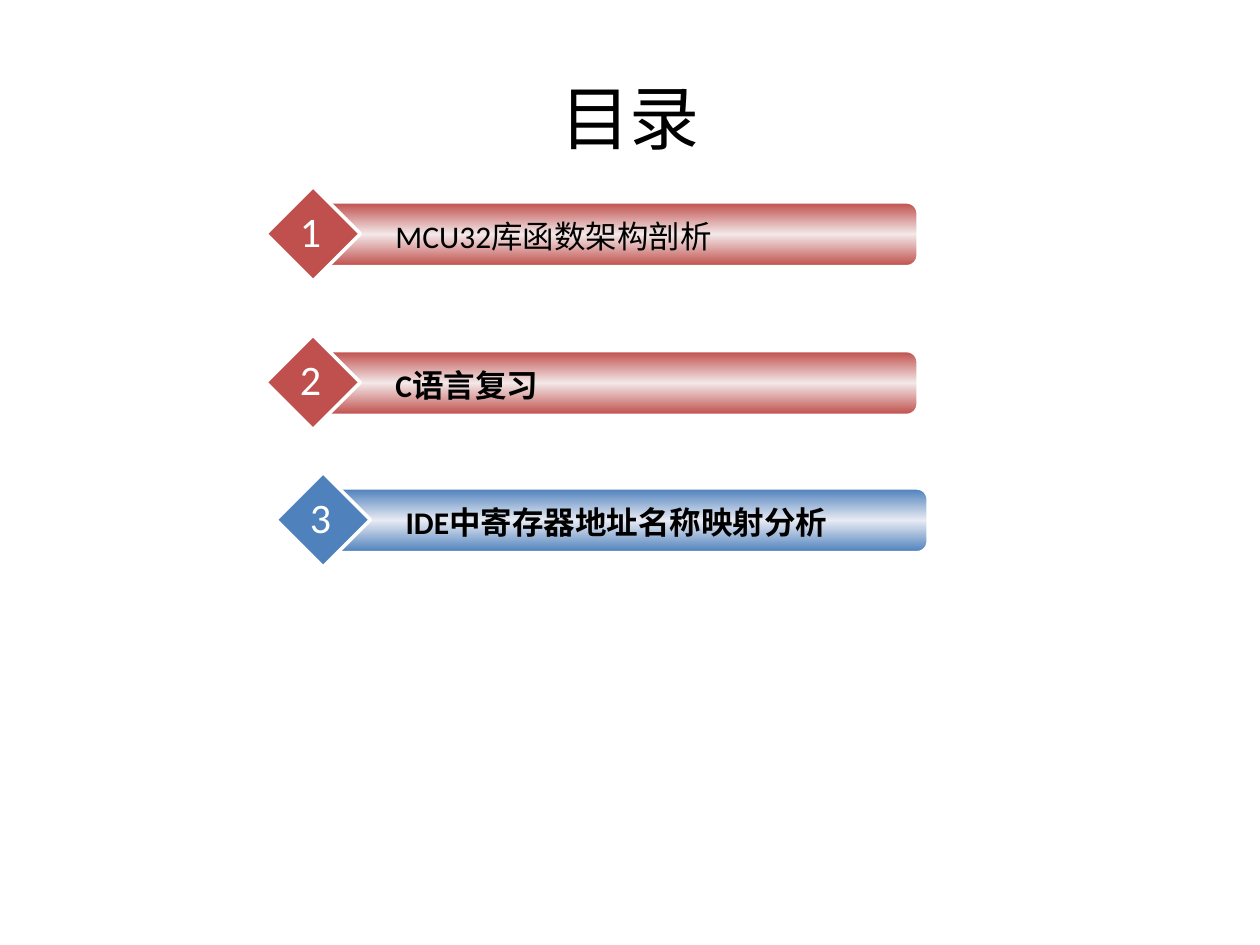
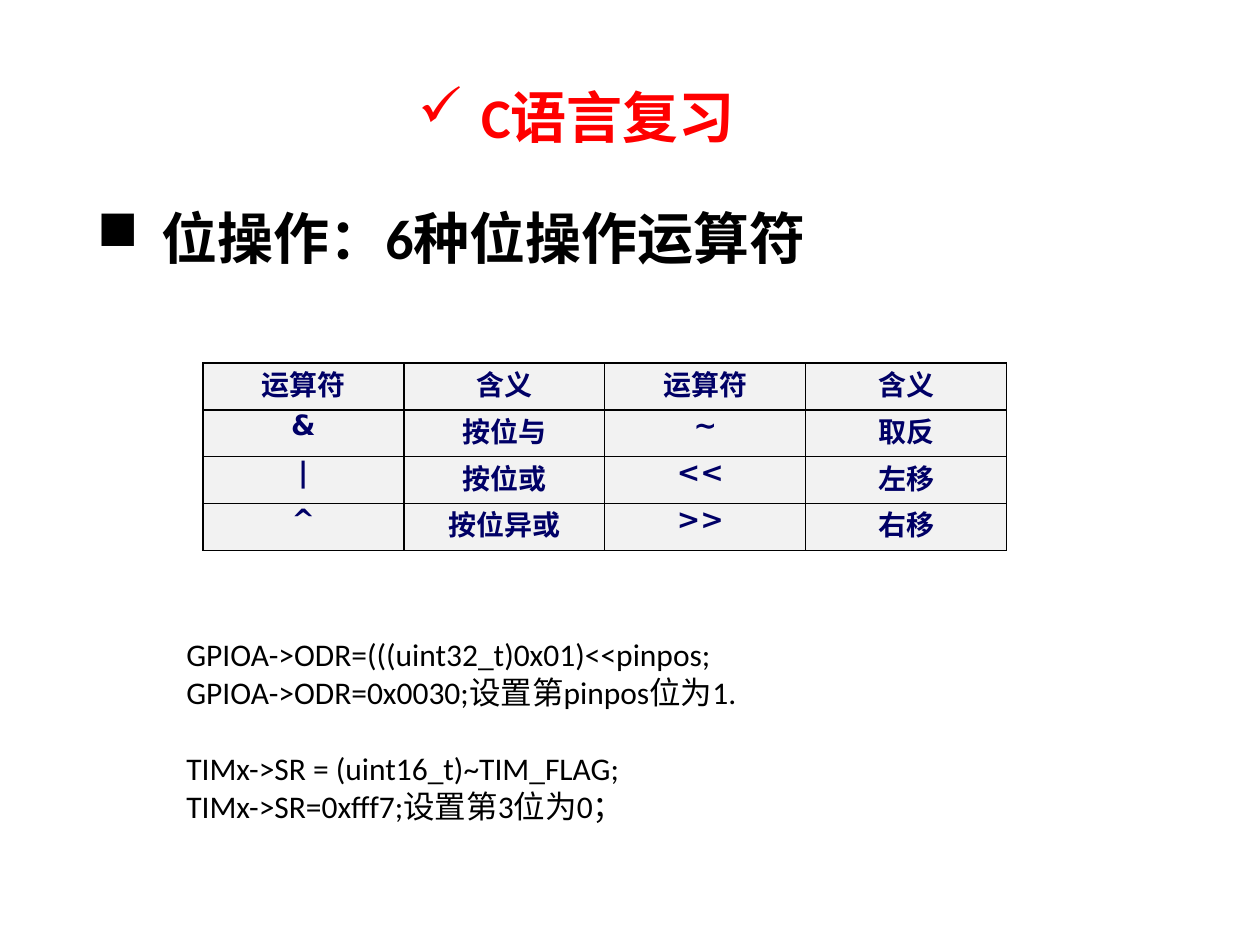
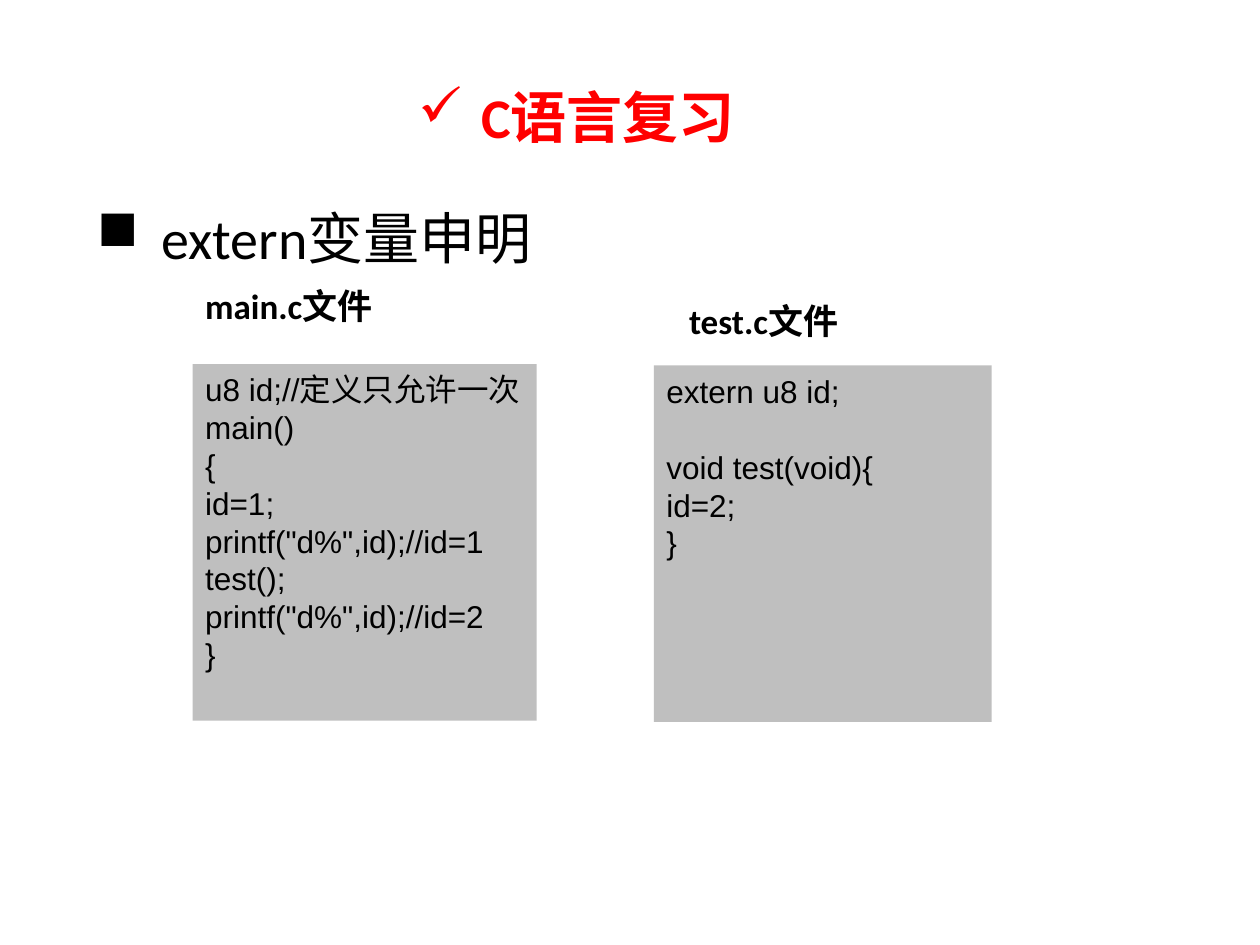
import copy

import lxml.etree
import pptx
import pptx.dml.color
import pptx.enum.shapes
import pptx.enum.text
import pptx.oxml
import pptx.oxml.ns
import pptx.util

GRID = pptx.util.Inches(0.25)  # the slide is 40 columns by 30 rows
RED, BLUE, WHITE = "C0504D", "4F81BD", "FFFFFF"
SHAPES = pptx.enum.shapes.MSO_SHAPE
ALIGN = pptx.enum.text.PP_ALIGN
ANCHOR = pptx.enum.text.MSO_ANCHOR
qn = pptx.oxml.ns.qn


def colour(hex_string):
    return pptx.dml.color.RGBColor.from_string(hex_string)


def add_box(slide, box, text="", kind=None, fill=None, line=None, line_width=1,
            ink="000000", align=ALIGN.LEFT, anchor=ANCHOR.TOP, wrap=True,
            bullet=None, indent=0, **font_format):
    """Add a shape, or a text box if kind is None; box is in grid units.

    An empty line in the text becomes a gap above the next paragraph.
    """
    place = [round(value * GRID) for value in box]
    if kind is None:
        shape = slide.shapes.add_textbox(*place)
    else:
        shape = slide.shapes.add_shape(kind, *place)
        shape.shadow.inherit = False
        shape.fill.solid()
        shape.fill.fore_color.rgb = colour(fill)
        if line:
            shape.line.color.rgb = colour(line)
            shape.line.width = pptx.util.Pt(line_width)
        else:
            shape.line.fill.background()
    if not text:
        return shape

    frame = shape.text_frame
    frame.word_wrap = wrap
    frame.vertical_anchor = anchor
    paragraph, gap = None, 0
    for content in text.split("\n"):
        if not content:
            gap = 22
            continue
        paragraph = frame.add_paragraph() if paragraph else frame.paragraphs[0]
        paragraph.alignment = align
        paragraph.space_before = pptx.util.Pt(gap)
        gap = 0
        run = paragraph.add_run()
        run.text = content
        run.font.color.rgb = colour(ink)
        for name, value in {"name": "Calibri", **font_format}.items():
            setattr(run.font, name, value)
        if bullet:
            properties = paragraph._p.get_or_add_pPr()
            margin = round(indent * GRID)
            properties.set("marL", str(margin))
            properties.set("indent", str(-margin))
            lxml.etree.SubElement(properties, qn("a:buChar")).set("char", bullet)
    return shape


presentation = pptx.Presentation()
presentation.slide_width = 40 * GRID
presentation.slide_height = 30 * GRID
contents, operators, externs = [
    presentation.slides.add_slide(presentation.slide_layouts[6]) for _ in range(3)]

# Contents
add_box(contents, (2, 1.2, 36, 5), "目录", align=ALIGN.CENTER,
        anchor=ANCHOR.MIDDLE, size=pptx.util.Pt(40))
chapters = [
    (8.44, 5.92, RED, "F3E8E8", "MCU32库函数架构剖析", False),
    (8.44, 10.64, RED, "F3E8E8", "C语言复习", True),
    (8.76, 15, BLUE, "E8EBF3", "IDE中寄存器地址名称映射分析", True),
]
for number, (left, top, edge, middle, label, bold) in enumerate(chapters, 1):
    bar = add_box(contents, (left + 1.68, top + 0.52, 19, 2),
                  kind=SHAPES.ROUNDED_RECTANGLE, fill=edge, line=WHITE)
    bar.fill.gradient()
    bar.fill.gradient_angle = 90
    stop_list = bar._element.spPr.find(".//" + qn("a:gsLst"))
    stop_list.append(copy.deepcopy(stop_list[0]))
    for stop, position, shade in zip(bar.fill.gradient_stops, (0, 0.5, 1),
                                     (edge, middle, edge)):
        stop.position = position
        stop.color.rgb = colour(shade)
    add_box(contents, (left, top, 3, 3), kind=SHAPES.DIAMOND, fill=edge,
            line=WHITE, line_width=2)
    add_box(contents, (left + 3.72, top + 0.78, 17, 1.6), label,
            size=pptx.util.Pt(18), bold=bold)
    add_box(contents, (left + 0.68, top + 0.4, 1.48, 2.04), str(number), ink=WHITE,
            align=ALIGN.CENTER, wrap=False, size=pptx.util.Pt(24))

# Title and heading of the two lesson slides
for slide, heading, bold in [(operators, "位操作：6种位操作运算符", True),
                             (externs, "extern变量申明", False)]:
    add_box(slide, (12.88, 2.44, 17.52, 2.56), "C语言复习", ink="FF0000",
            bullet="✓", indent=2, size=pptx.util.Pt(32), bold=True)
    add_box(slide, (2.68, 6.28, 23.88, 2.56), heading, bullet="■", indent=2.04,
            size=pptx.util.Pt(32), bold=bold)

# Bit operators
operator_rows = [
    ("运算符", "含义", "运算符", "含义"),
    ("&", "按位与", "~", "取反"),
    ("|", "按位或", "<< ", "左移"),
    ("^", "按位异或", ">> ", "右移"),
]
table_place = [round(value * GRID) for value in (6.44, 11.52, 25.52, 5.96)]
table = operators.shapes.add_table(4, 4, *table_place).table
table.first_row = table.horz_banding = False
cell_format = {"margin_left": pptx.util.Inches(0.07), "margin_top": 0,
               "margin_right": pptx.util.Inches(0.07), "margin_bottom": 0}
cell_font = {"name": "DejaVu Sans", "size": pptx.util.Pt(16), "bold": True}
for row, texts in enumerate(operator_rows):
    for column, text in enumerate(texts):
        cell = table.cell(row, column)
        for name, value in cell_format.items():
            setattr(cell, name, value)
        cell.fill.solid()
        cell.fill.fore_color.rgb = colour("F2F2F2")
        paragraph = cell.text_frame.paragraphs[0]
        paragraph.alignment = ALIGN.CENTER
        run = paragraph.add_run()
        run.text = text
        run.font.color.rgb = colour("000066")
        for name, value in cell_font.items():
            setattr(run.font, name, value)
        for index, side in enumerate(("lnL", "lnR", "lnT", "lnB")):
            border = pptx.oxml.parse_xml(
                f'<a:{side} {pptx.oxml.ns.nsdecls("a")} w="12700"><a:solidFill>'
                f'<a:srgbClr val="000000"/></a:solidFill></a:{side}>')
            cell._tc.get_or_add_tcPr().insert(index, border)

add_box(operators, (5.52, 19.96, 18.44, 7.68), """\
GPIOA->ODR=(((uint32_t)0x01)<<pinpos;
GPIOA->ODR=0x0030;设置第pinpos位为1.

TIMx->SR = (uint16_t)~TIM_FLAG;
TIMx->SR=0xfff7;设置第3位为0；""", size=pptx.util.Pt(18))

# Extern variables
main_code = """\
u8 id;//定义只允许一次
main()
{
id=1;
printf("d%",id);//id=1
test();
printf("d%",id);//id=2
}"""
test_code = """\
extern u8 id;

void test(void){
id=2;
}"""
files = [
    ("main.c文件", (6.12, 8.84, 7.24, 3.08), main_code, (6.12, 11.56, 10.92, 11.32)),
    ("test.c文件", (21.48, 9.32, 7.24, 3.08), test_code, (20.76, 11.6, 10.72, 11.32)),
]
for label, label_box, code, code_box in files:
    add_box(externs, code_box, code, kind=SHAPES.RECTANGLE, fill="BFBFBF",
            name="Arial", size=pptx.util.Pt(18))
    add_box(externs, label_box, label, size=pptx.util.Pt(20), bold=True)

presentation.save("out.pptx")
